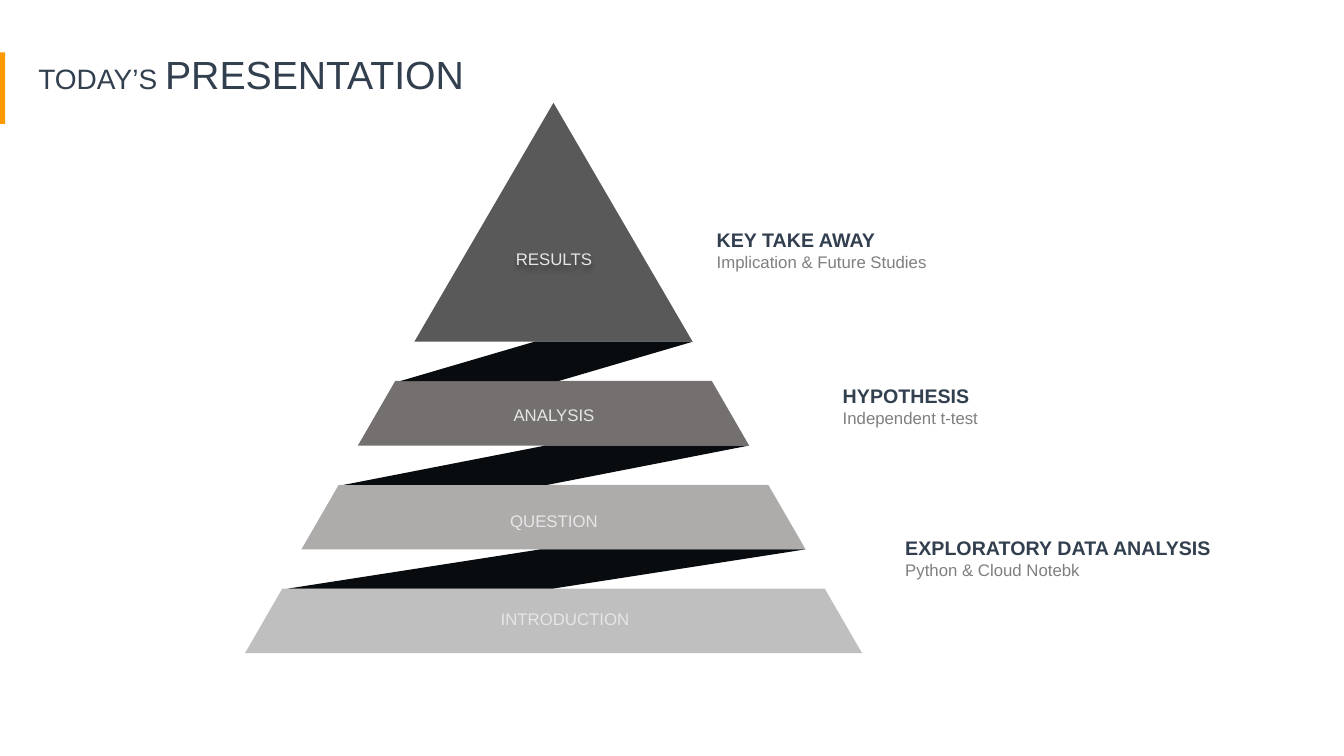
from dataclasses import dataclass

from lxml import etree
from pptx import Presentation
from pptx import util as u
from pptx.dml.color import RGBColor
from pptx.enum import shapes, text
from pptx.oxml import ns

PX = 9144


@dataclass(frozen=True)
class Theme:
    font: str = "Arial"
    navy: str = "323F4F"
    gray: str = "7F7F7F"
    light: str = "E7E6E6"
    ribbon: str = "090C0F"
    accent: str = "FF9900"
    bands: tuple = ("595959", "757070", "AEABAB", "BFBFBF")
    title: int = 28
    lead: int = 20
    heading: int = 14
    body: int = 12


class Deck:
    def __init__(self, prs, theme):
        self.theme = theme
        self.s = prs.slides.add_slide(prs.slide_layouts[5])

    def paint(self, sp, color):
        sp.shadow.inherit = False
        sp.fill.solid()
        sp.fill.fore_color.rgb = RGBColor.from_string(color)
        sp.line.fill.background()

    def style(self, font, size, color, bold=False):
        font.name = self.theme.font
        font.size = u.Pt(size)
        font.bold = bold
        font.color.rgb = RGBColor.from_string(color)

    def title(self, x, y, w, h, lead, main):
        sp = self.s.shapes.title
        sp.left, sp.top, sp.width, sp.height = (v * PX for v in (x, y, w, h))
        tf = sp.text_frame
        tf.auto_size = text.MSO_AUTO_SIZE.NONE
        tf.vertical_anchor = text.MSO_ANCHOR.TOP
        p = tf.paragraphs[0]
        p.alignment = text.PP_ALIGN.LEFT
        p.line_spacing = 1.5
        for words, size in ((lead, self.theme.lead), (main, self.theme.title)):
            r = p.add_run()
            r.text = words
            self.style(r.font, size, self.theme.navy)

    def polygon(self, points, color):
        start, *rest = points
        builder = self.s.shapes.build_freeform(*start, scale=PX)
        builder.add_line_segments(rest, close=True)
        self.paint(builder.convert_to_shape(), color)

    def shape(self, kind, x, y, w, h, color):
        sp = self.s.shapes.add_shape(kind, x * PX, y * PX, w * PX, h * PX)
        self.paint(sp, color)
        return sp

    def textbox(self, x, y, w, h, lines, align=text.PP_ALIGN.LEFT):
        sp = self.s.shapes.add_textbox(x * PX, y * PX, w * PX, h * PX)
        tf = sp.text_frame
        tf.word_wrap = True
        for i, (words, size, color, bold) in enumerate(lines):
            p = tf.add_paragraph() if i else tf.paragraphs[0]
            p.text = words
            p.alignment = align
            self.style(p.font, size, color, bold)
        return sp

    def label(self, x, y, w, words):
        line = (words, self.theme.body, self.theme.light, False)
        return self.textbox(x, y, w, 30, [line], text.PP_ALIGN.CENTER)

    def note(self, x, y, w, heading, detail):
        self.textbox(x, y, w, 72, [
            (heading, self.theme.heading, self.theme.navy, True),
            (detail, self.theme.body, self.theme.gray, False),
        ])

    def soft_shadow(self, sp):
        effects = etree.SubElement(sp.element.spPr, ns.qn("a:effectLst"))
        shadow = etree.SubElement(effects, ns.qn("a:outerShdw"),
                                  blurRad="50800", dist="38100", dir="5400000")
        black = etree.SubElement(shadow, ns.qn("a:prstClr"), val="black")
        etree.SubElement(black, ns.qn("a:alpha"), val="40000")


def draw_pyramid(deck):
    theme = deck.theme
    center, apex, first_base, first_half = 549, 102, 339, 138
    pitch, spread, height, inset, gap = 103, 56, 64, 37, 39

    for i, color in enumerate(theme.bands):
        base, half = first_base + i * pitch, first_half + i * spread
        foot = [(center + half, base), (center - half, base)]
        if i:
            top, edge = base - height, half - inset
            head = [(center - edge, top), (center + edge, top)]
        else:
            head = [(center, apex)]
        deck.polygon(head + foot, color)

    for i, slant in enumerate((133, 200, 251)):
        half = first_half + i * spread
        left = center - (half + spread - inset) + 5
        sp = deck.shape(shapes.MSO_SHAPE.PARALLELOGRAM, left,
                        first_base + i * pitch, center + half - left, gap,
                        theme.ribbon)
        sp.adjustments[0] = slant / gap


def main():
    prs = Presentation()
    prs.slide_width, prs.slide_height = u.Inches(13.33), u.Inches(7.5)
    deck = Deck(prs, Theme())

    deck.title(28, 22, 603, 72, "TODAY’S ", "PRESENTATION")
    deck.shape(shapes.MSO_SHAPE.RECTANGLE, 0, 52, 5, 71, deck.theme.accent)
    draw_pyramid(deck)

    results = deck.label(478, 242, 143, "RESULTS")
    deck.soft_shadow(results)
    deck.label(478, 397, 143, "ANALYSIS")
    deck.label(478, 502, 143, "QUESTION")
    deck.label(478, 599, 165, "INTRODUCTION")

    deck.note(701, 221, 338, "KEY TAKE AWAY", "Implication & Future Studies")
    deck.note(826, 376, 182, "HYPOTHESIS", "Independent t-test")
    deck.note(888, 527, 338, "EXPLORATORY DATA ANALYSIS",
              "Python & Cloud Notebk")

    prs.save("out.pptx")


if __name__ == "__main__":
    main()
